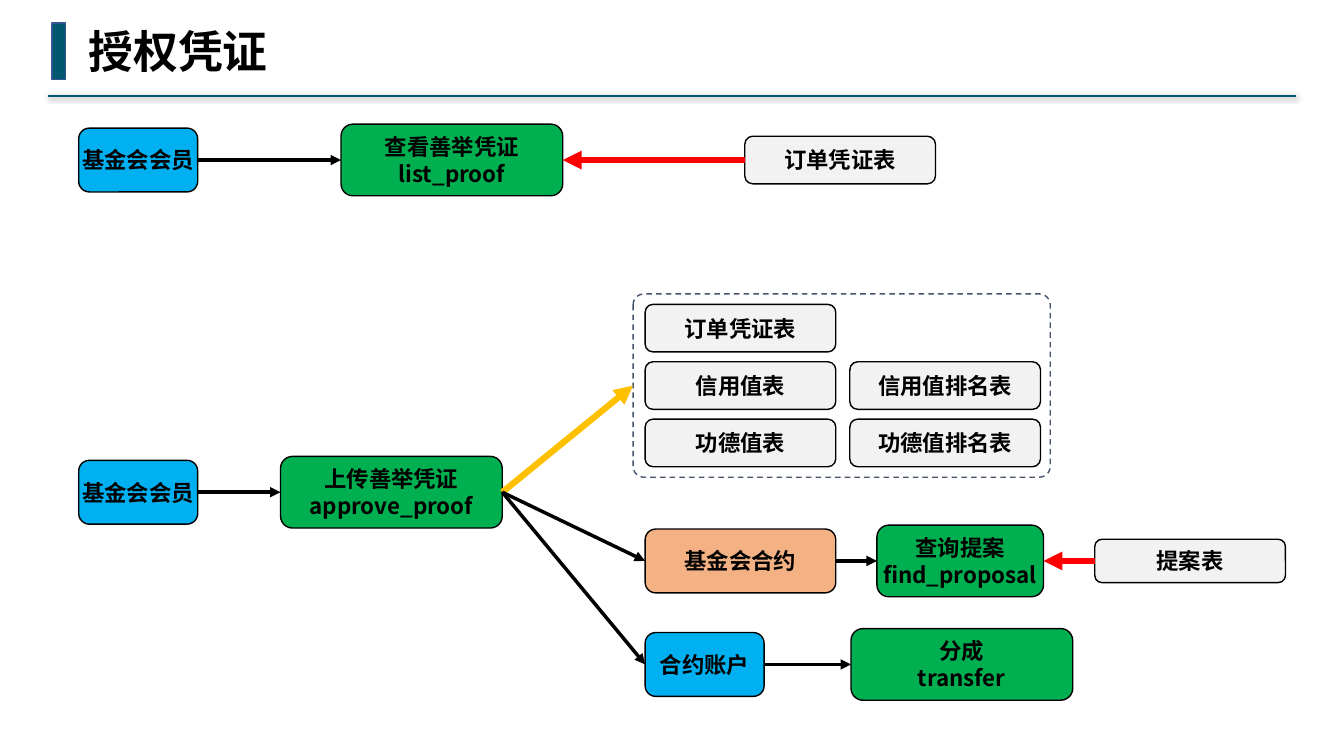
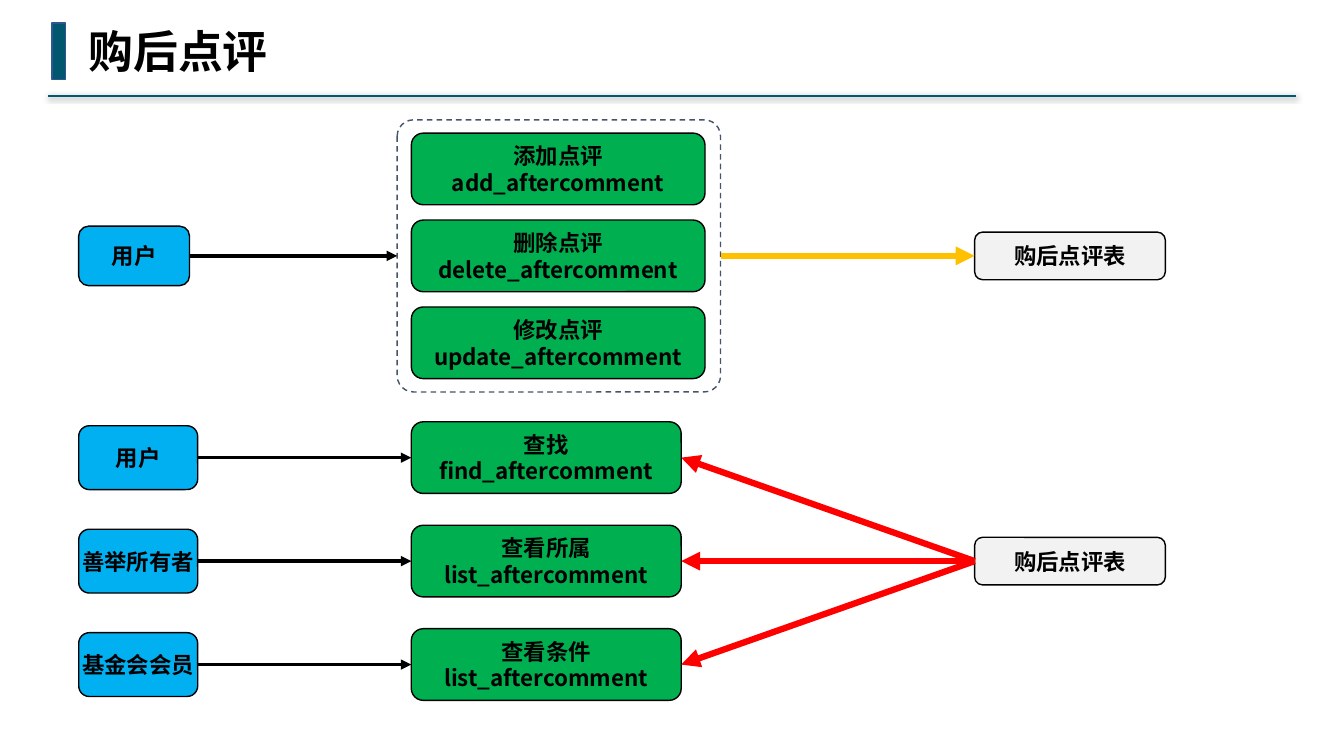
"""Build two flow slides: granting proofs and after-purchase reviews."""
from dataclasses import dataclass
from typing import NamedTuple

from lxml import etree as et
from pptx import Presentation
from pptx import util as u
from pptx.dml import color
from pptx.enum import dml, shapes, text
from pptx.oxml import ns

SANS = "Noto Sans CJK SC"
MONO = "Courier New"
BLACK, WHITE, TEAL = "000000", "FFFFFF", "00576E"
EDGE, SLATE = "325491", "44546A"
LEFT = 56.2


class Kind(NamedTuple):
    fill: str
    wide: float
    tall: float


class Flow(NamedTuple):
    tint: str
    size: float


ACTOR = Kind("00B0F0", 85, 45.6)
CALL = Kind("00B050", 158.4, 51.2)
TABLE = Kind("F2F2F2", 136.2, 34)
DEAL = Kind("F4B183", 136.2, 45.6)
STEP = Flow(BLACK, 2.5)
READ = Flow("FF0000", 4.5)
WRITE = Flow("FFC000", 4.5)


@dataclass
class Box:
    kind: Kind
    x: float
    mid: float
    words: str
    wide: float = 0
    tall: float = 0


@dataclass
class Panel:
    x: float
    mid: float
    wide: float
    tall: float


def paint(code: str) -> color.RGBColor:
    return color.RGBColor.from_string(code)


def stroke(item, tint: str, size: float) -> None:
    item.line.color.rgb = paint(tint)
    item.line.width = u.Pt(size)


def add_run(para, words: str, size: float, face: str) -> None:
    run = para.add_run()
    run.text = words
    font = run.font
    font.size, font.bold, font.name = u.Pt(size), True, face
    font.color.rgb = paint(BLACK)
    et.SubElement(run._r.get_or_add_rPr(), ns.qn("a:ea"), typeface=SANS)


def add_form(slide, form, x: float, y: float, wide: float, tall: float):
    item = slide.shapes.add_shape(form, u.Pt(x), u.Pt(y), u.Pt(wide), u.Pt(tall))
    item.shadow.inherit = False
    return item


def add_box(slide, box: Box):
    wide, tall = box.wide or box.kind.wide, box.kind.tall
    tall = box.tall or tall
    item = add_form(slide, shapes.MSO_SHAPE.ROUNDED_RECTANGLE,
                    box.x, box.mid - tall / 2, wide, tall)
    item.fill.solid()
    item.fill.fore_color.rgb = paint(box.kind.fill)
    stroke(item, BLACK, 1)
    frame = item.text_frame
    frame.word_wrap = False
    frame.vertical_anchor = text.MSO_ANCHOR.MIDDLE
    frame.margin_left = frame.margin_right = u.Pt(2.88)
    frame.margin_top = frame.margin_bottom = u.Pt(2.88)
    for spot, words in enumerate(box.words.split("\n")):
        para = frame.add_paragraph() if spot else frame.paragraphs[0]
        para.alignment = text.PP_ALIGN.CENTER
        add_run(para, words, 16, SANS)
    return item


def add_panel(slide, panel: Panel):
    item = add_form(slide, shapes.MSO_SHAPE.ROUNDED_RECTANGLE, panel.x,
                    panel.mid - panel.tall / 2, panel.wide, panel.tall)
    item.adjustments[0] = 0.06
    item.fill.background()
    stroke(item, SLATE, 1)
    item.line.dash_style = dml.MSO_LINE.DASH
    return item


def add_line(slide, x: float, y: float, end: float, tint: str, size: float):
    line = slide.shapes.add_connector(
        shapes.MSO_CONNECTOR.STRAIGHT, u.Pt(x), u.Pt(y), u.Pt(end), u.Pt(y))
    stroke(line, tint, size)
    return line, et.SubElement(line._element.spPr, ns.qn("a:effectLst"))


def join(slide, start, end, flow: Flow = STEP) -> None:
    line, _ = add_line(slide, 0, 0, 0, flow.tint, flow.size)
    out, into = (3, 1) if start.left < end.left else (1, 3)
    line.begin_connect(start, out)
    line.end_connect(end, into)
    et.SubElement(line.line._get_or_add_ln(), ns.qn("a:tailEnd"), type="triangle")


def add_head(slide, title: str) -> None:
    _, glow = add_line(slide, 926, 68.4, 34, TEAL, 1.5)
    shade = et.SubElement(glow, ns.qn("a:outerShdw"), blurRad=str(u.Pt(4)),
                          dist=str(u.Pt(1)), dir="5400000", algn="t", rotWithShape="0")
    tone = et.SubElement(shade, ns.qn("a:srgbClr"), val=BLACK)
    et.SubElement(tone, ns.qn("a:alpha"), val="40000")
    bar = add_form(slide, shapes.MSO_SHAPE.RECTANGLE, 37.2, 16.4, 9.6, 40.6)
    bar.fill.solid()
    bar.fill.fore_color.rgb = paint(TEAL)
    stroke(bar, EDGE, 1)
    label = slide.shapes.add_textbox(u.Pt(LEFT), u.Pt(13.7), u.Pt(144), u.Pt(46))
    frame = label.text_frame
    frame.word_wrap = False
    frame.auto_size = text.MSO_AUTO_SIZE.SHAPE_TO_FIT_TEXT
    add_run(frame.paragraphs[0], title, 32, MONO)


def new_slide(deck, title: str):
    slide = deck.slides.add_slide(deck.slide_layouts[6])
    slide.background.fill.solid()
    slide.background.fill.fore_color.rgb = paint(WHITE)
    add_head(slide, title)
    return slide


def draw_proof(deck) -> None:
    slide = new_slide(deck, "授权凭证")
    top, low, deal, pay = 114.3, 351.6, 400.7, 474.6
    col, next_col, row, step = 460.8, 607, 234.4, 41

    viewer = add_box(slide, Box(ACTOR, LEFT, top, "基金会会员"))
    view = add_box(slide, Box(CALL, 243.6, top, "查看善举凭证\nlist_proof"))
    proof = add_box(slide, Box(TABLE, 532, top, "订单凭证表"))
    join(slide, viewer, view)
    join(slide, proof, view, READ)

    sender = add_box(slide, Box(ACTOR, LEFT, low, "基金会会员"))
    send = add_box(slide, Box(CALL, 200.4, low, "上传善举凭证\napprove_proof"))
    panel = add_panel(slide, Panel(452.2, row + step, 298, 131))
    grid = (("订单凭证表",), ("信用值表", "信用值排名表"), ("功德值表", "功德值排名表"))
    for spot, names in enumerate(grid):
        for x, name in zip((col, next_col), names):
            add_box(slide, Box(TABLE, x, row + spot * step, name))

    pact = add_box(slide, Box(DEAL, col, deal, "基金会合约"))
    find = add_box(slide, Box(CALL, 626.4, deal, "查询提案\nfind_proposal", wide=119))
    plan = add_box(slide, Box(TABLE, 782, deal, "提案表", tall=31))
    fund = add_box(slide, Box(ACTOR, col, pay, "合约账户"))
    share = add_box(slide, Box(CALL, 607.9, pay, "分成\ntransfer"))
    join(slide, sender, send)
    join(slide, send, panel, WRITE)
    join(slide, send, pact)
    join(slide, send, fund)
    join(slide, pact, find)
    join(slide, plan, find, READ)
    join(slide, fund, share)


def draw_review(deck) -> None:
    slide = new_slide(deck, "购后点评")
    col, store, top, low = 293.8, 696.2, 182.8, 400.8
    edits = ("添加点评\nadd_aftercomment", "删除点评\ndelete_aftercomment",
             "修改点评\nupdate_aftercomment")
    views = (("用户", "查找\nfind_aftercomment"),
             ("善举所有者", "查看所属\nlist_aftercomment"),
             ("基金会会员", "查看条件\nlist_aftercomment"))

    buyer = add_box(slide, Box(ACTOR, LEFT, top, "用户", wide=79.2, tall=42.5))
    panel = add_panel(slide, Panel(283.7, top, 231, 194.4))
    for spot, words in enumerate(edits, -1):
        add_box(slide, Box(CALL, col, top + spot * 62.1, words, wide=209.8))
    saved = add_box(slide, Box(TABLE, store, top, "购后点评表"))
    join(slide, buyer, panel)
    join(slide, panel, saved, WRITE)

    notes = add_box(slide, Box(TABLE, store, low, "购后点评表"))
    for spot, (name, words) in enumerate(views, -1):
        mid = low + spot * 73.9
        actor = add_box(slide, Box(ACTOR, LEFT, mid, name))
        call = add_box(slide, Box(CALL, col, mid, words, wide=192.8))
        join(slide, actor, call)
        join(slide, notes, call, READ)


def main() -> None:
    deck = Presentation()
    deck.slide_width, deck.slide_height = u.Pt(960), u.Pt(540)
    draw_proof(deck)
    draw_review(deck)
    deck.save("out.pptx")


if __name__ == "__main__":
    main()
